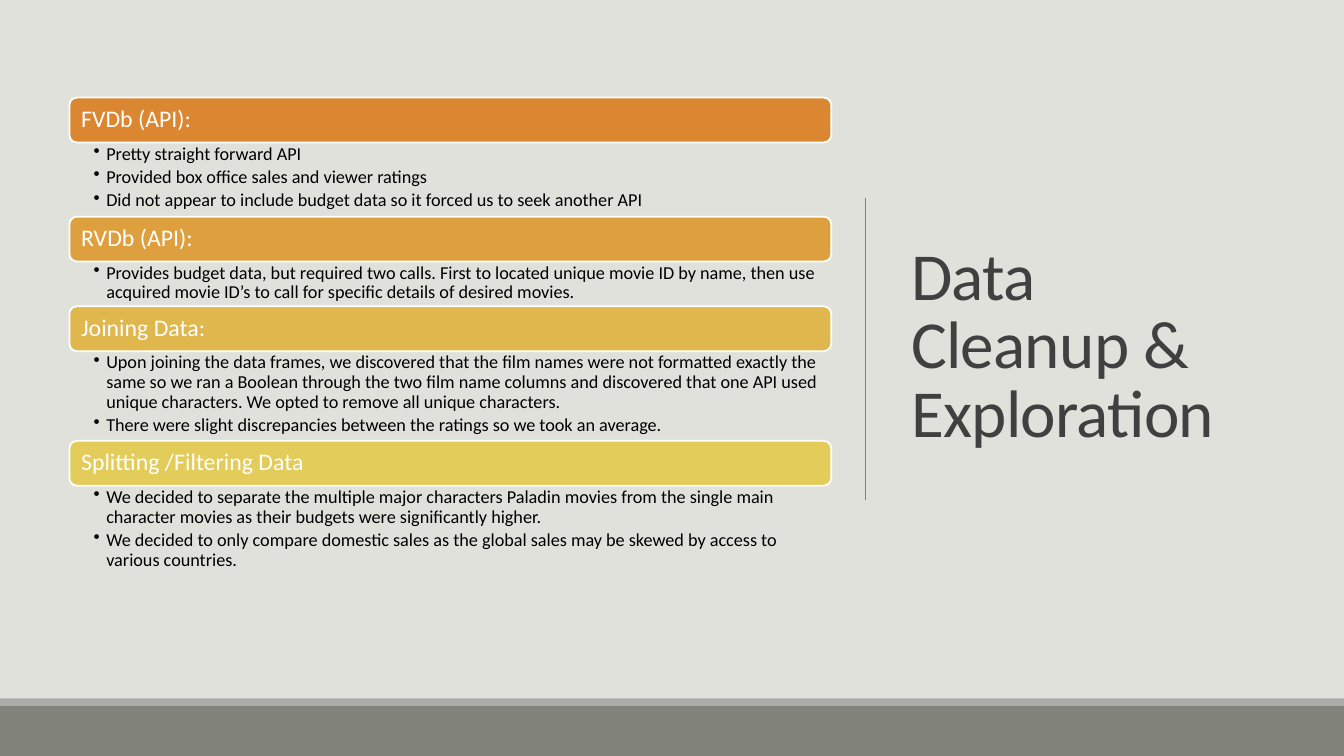
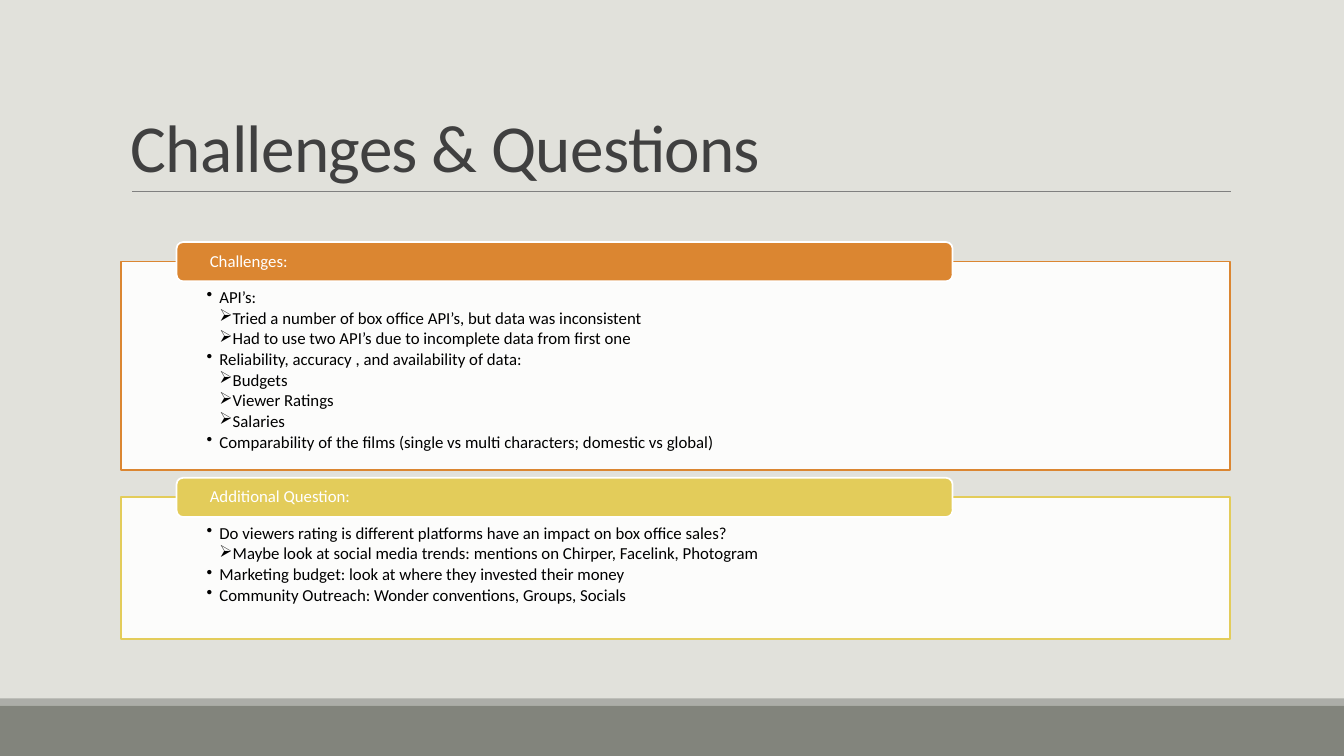
from lxml import etree
from pptx import Presentation
from pptx import util as u
from pptx.dml.color import RGBColor
from pptx.enum import shapes, text
from pptx.oxml.ns import qn

FONT = "Calibri"
PAPER = RGBColor(0xE1, 0xE1, 0xDB)
BAND = RGBColor(0x82, 0x84, 0x7C)
BAND_EDGE = RGBColor(0xAC, 0xAD, 0xA8)
RULE = RGBColor(0x80, 0x80, 0x80)
TITLE = RGBColor(0x40, 0x40, 0x40)
WHITE = RGBColor(0xFF, 0xFF, 0xFF)
BLACK = RGBColor(0x00, 0x00, 0x00)
ORANGE = RGBColor(0xDB, 0x86, 0x31)
AMBER = RGBColor(0xDE, 0xA0, 0x3F)
GOLD = RGBColor(0xE0, 0xB7, 0x4C)
YELLOW = RGBColor(0xE3, 0xCC, 0x5A)

WIDTH, HEIGHT = 33.87, 19.05
INDENT = 0.32
BULLETS = ("•", "➢")

SECTIONS = [
    ("FVDb (API):", ORANGE, 1.87, [
        "Pretty straight forward API",
        "Provided box office sales and viewer ratings",
        "Did not appear to include budget data so it forced us to seek another API",
    ]),
    ("RVDb (API):", AMBER, 1.13, [
        "Provides budget data, but required two calls. First to located unique movie ID "
        "by name, then use acquired movie ID’s to call for specific details of desired movies.",
    ]),
    ("Joining Data:", GOLD, 2.26, [
        "Upon joining the data frames, we discovered that the film names were not formatted "
        "exactly the same so we ran a Boolean through the two film name columns and discovered "
        "that one API used unique characters. We opted to remove all unique characters.",
        "There were slight discrepancies between the ratings so we took an average.",
    ]),
    ("Splitting /Filtering Data", YELLOW, 2.9, [
        "We decided to separate the multiple major characters Paladin movies from the single "
        "main character movies as their budgets were significantly higher.",
        "We decided to only compare domestic sales as the global sales may be skewed by "
        "access to various countries.",
    ]),
]

PANELS = [
    ("Challenges:", ORANGE, 5.26, [
        (1, "API’s:"),
        (2, "Tried a number of box office API’s, but data was inconsistent"),
        (2, "Had to use two API’s due to incomplete data from first one"),
        (1, "Reliability, accuracy , and availability of data:"),
        (2, "Budgets"),
        (2, "Viewer Ratings"),
        (2, "Salaries"),
        (1, "Comparability of the films (single vs multi characters; domestic vs global)"),
    ]),
    ("Additional Question:", YELLOW, 3.58, [
        (1, "Do viewers rating is different platforms have an impact on box office sales?"),
        (2, "Maybe look at social media trends: mentions on Chirper, Facelink, Photogram"),
        (1, "Marketing budget: look at where they invested their money"),
        (1, "Community Outreach: Wonder conventions, Groups, Socials"),
    ]),
]


def add_box(page, kind, left, top, width, height, fill, line=None):
    box = page.shapes.add_shape(kind, u.Cm(left), u.Cm(top), u.Cm(width), u.Cm(height))
    box.shadow.inherit = False
    box.fill.solid()
    box.fill.fore_color.rgb = fill
    if line is None:
        box.line.fill.background()
    else:
        box.line.color.rgb = line
        box.line.width = u.Pt(1.25)
    return box


def add_text_area(page, left, top, width, height):
    return page.shapes.add_textbox(u.Cm(left), u.Cm(top), u.Cm(width), u.Cm(height))


def set_frame(box, anchor, insets):
    frame = box.text_frame
    frame.word_wrap = True
    frame.vertical_anchor = anchor
    (frame.margin_left, frame.margin_top,
     frame.margin_right, frame.margin_bottom) = (u.Cm(inset) for inset in insets)
    return frame


def style_para(para, size, color, spacing=0.9):
    para.alignment = text.PP_ALIGN.LEFT
    para.line_spacing = spacing
    para.font.name = FONT
    para.font.size = u.Pt(size)
    para.font.color.rgb = color


def write_bullets(frame, items, size, gap):
    for index, (level, words) in enumerate(items):
        para = frame.paragraphs[0] if index == 0 else frame.add_paragraph()
        para.text = words
        para.level = level
        para.space_after = u.Pt(gap)
        properties = para._p.get_or_add_pPr()
        properties.set("marL", str(u.Cm(INDENT * level)))
        properties.set("indent", str(-u.Cm(INDENT)))
        etree.SubElement(properties, qn("a:buChar")).set("char", BULLETS[level - 1])
        style_para(para, size, BLACK)


def add_heading(page, left, top, width, height, words, color, size, inset):
    box = add_box(page, shapes.MSO_SHAPE.ROUNDED_RECTANGLE,
                  left, top, width, height, color, WHITE)
    frame = set_frame(box, text.MSO_ANCHOR.MIDDLE, (inset, 0, inset, 0))
    frame.text = words
    style_para(frame.paragraphs[0], size, WHITE)


def add_title(page, left, top, width, height, words, anchor):
    box = add_text_area(page, left, top, width, height)
    frame = set_frame(box, anchor, (0.25, 0.13, 0.25, 0.13))
    frame.text = words
    para = frame.paragraphs[0]
    style_para(para, 48, TITLE, 0.85)
    para._p.get_or_add_pPr().get_or_add_defRPr().set("spc", "-50")


def add_rule(page, left, top, right, bottom):
    rule = page.shapes.add_connector(
        shapes.MSO_CONNECTOR.STRAIGHT, u.Cm(left), u.Cm(top), u.Cm(right), u.Cm(bottom))
    rule.line.color.rgb = RULE
    rule.line.width = u.Pt(0.5)
    etree.SubElement(rule._element.spPr, qn("a:effectLst"))


def add_page(deck):
    page = deck.slides.add_slide(deck.slide_layouts[6])
    page.background.fill.solid()
    page.background.fill.fore_color.rgb = PAPER
    for top, height, color in ((17.6, 0.18, BAND_EDGE), (17.78, 1.27, BAND)):
        add_box(page, shapes.MSO_SHAPE.RECTANGLE, 0, top, WIDTH, height, color)
    return page


def add_sections(page, left, top, width, sections):
    heading_height = 1.13
    for heading, color, height, lines in sections:
        add_heading(page, left, top, width, heading_height, heading, color, 17, 0.24)
        top += heading_height
        box = add_text_area(page, left, top, width, height)
        frame = set_frame(box, text.MSO_ANCHOR.TOP, (0.61, 0.05, 0.33, 0.05))
        write_bullets(frame, [(1, line) for line in lines], 13, 2.6)
        top += height


def add_panels(page, left, top, width, panels):
    for heading, color, height, items in panels:
        box = add_box(page, shapes.MSO_SHAPE.RECTANGLE, left, top, width, height, WHITE, color)
        fill_color = box.fill._xPr.find(qn("a:solidFill"))[0]
        etree.SubElement(fill_color, qn("a:alpha")).set("val", "90000")
        frame = set_frame(box, text.MSO_ANCHOR.TOP, (2.16, 0.69, 2.16, 0.23))
        write_bullets(frame, items, 12, 1.8)
        add_heading(page, left + 1.4, top - 0.49, 0.7 * width, 0.99, heading, color, 12, 0.79)
        top += height + 0.68


def build_cleanup(deck):
    page = add_page(deck)
    add_title(page, 22.71, 1.75, 9.37, 14.05, "Data Cleanup & Exploration",
              text.MSO_ANCHOR.MIDDLE)
    add_rule(page, 21.82, 4.98, 21.82, 12.6)
    add_sections(page, 1.75, 2.46, 19.2, SECTIONS)


def build_challenges(deck):
    page = add_page(deck)
    add_rule(page, 3.33, 4.83, 31.01, 4.83)
    add_title(page, 3.05, 0.79, 27.94, 4.04, "Challenges & Questions",
              text.MSO_ANCHOR.BOTTOM)
    add_panels(page, 3.05, 6.59, 27.94, PANELS)


def main():
    deck = Presentation()
    deck.slide_width = u.Cm(WIDTH)
    deck.slide_height = u.Cm(HEIGHT)
    build_cleanup(deck)
    build_challenges(deck)
    deck.save("out.pptx")


if __name__ == "__main__":
    main()
